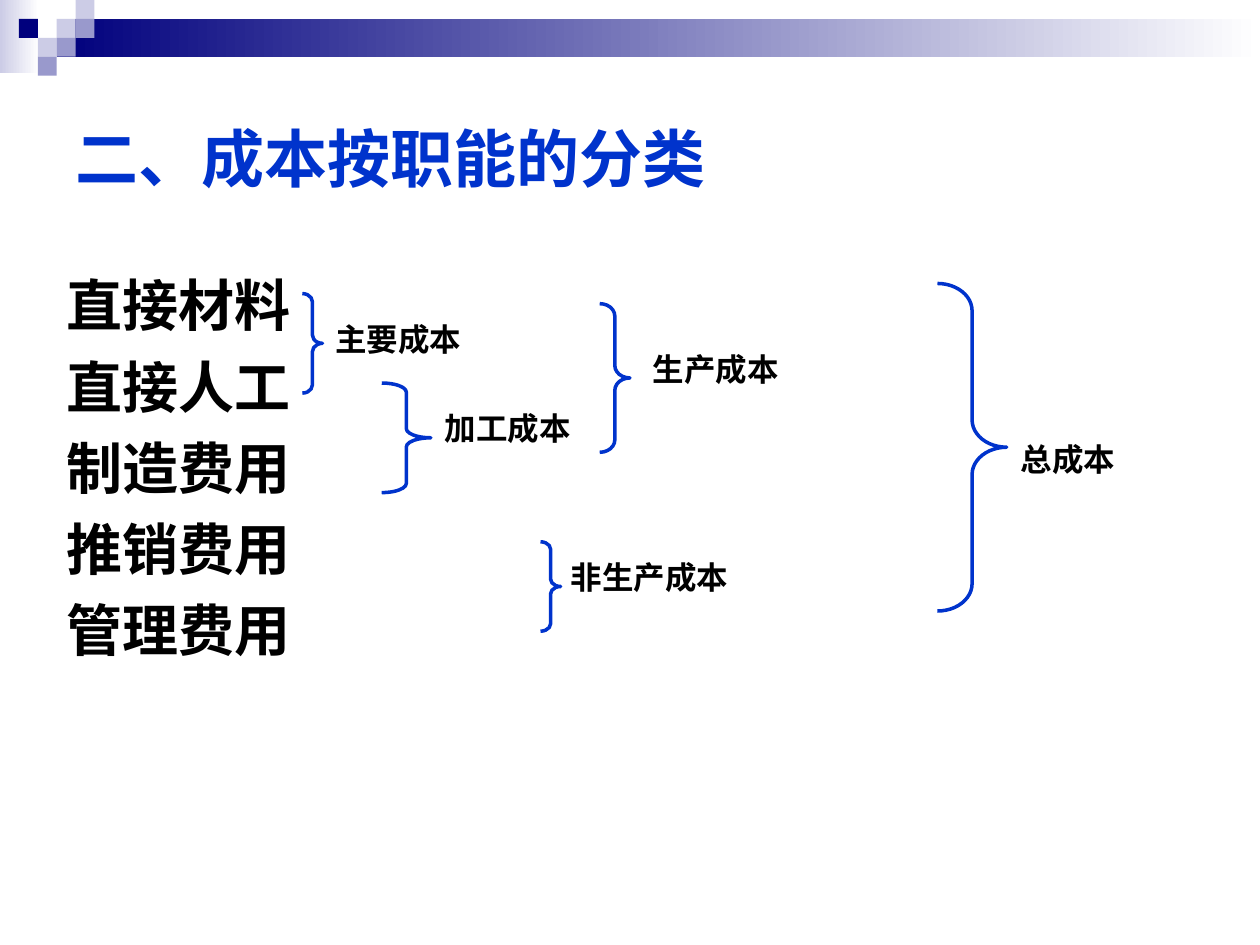
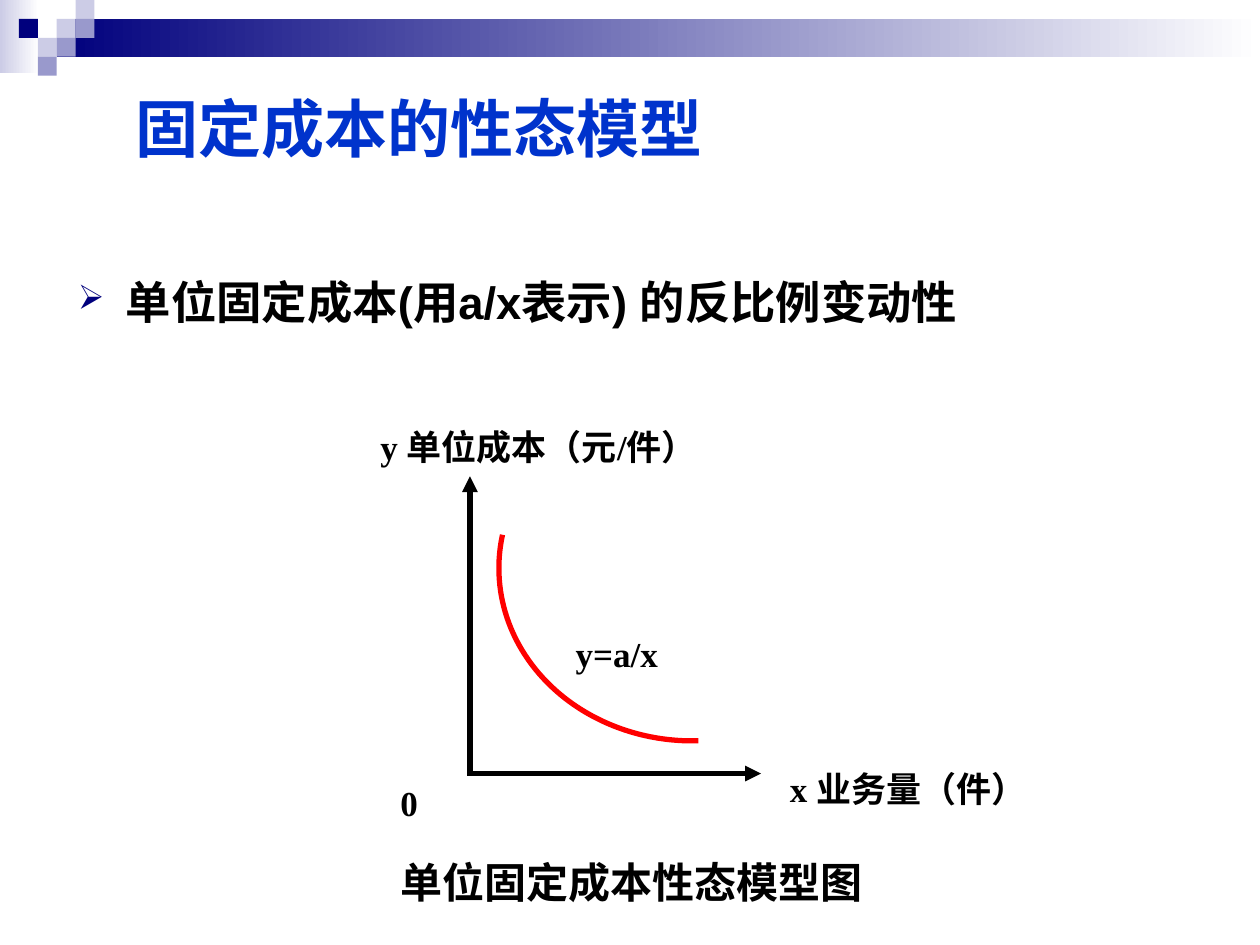
"""Build two slides on cost classes and the fixed cost model."""
import pptx
import pptx.util
import pptx.dml.color
import pptx.enum.shapes
import pptx.enum.text
import pptx.oxml
import pptx.oxml.ns

IN, PT = pptx.util.Inches, pptx.util.Pt
KIND = pptx.enum.shapes.MSO_SHAPE
ALIGN = pptx.enum.text.PP_ALIGN
ANCHOR = pptx.enum.text.MSO_ANCHOR
WIDE, HIGH, CELL = 10, 7.5, 0.15
BLUE, NAVY, LILAC, MID = "0033CC", "00007D", "CCCCE6", "9999CC"
BLACK, WHITE, RED = "000000", "FFFFFF", "FF0000"
SANS, SERIF, HAN = "Arial", "Times New Roman", "Noto Sans CJK SC"
LEAD = 1.2

FADES = [((0, 0, 0.31, 0.58), LILAC),
         ((3 * CELL, CELL, WIDE - 3 * CELL, 2 * CELL), NAVY)]
TILES = [(3, 1, LILAC), (4, 0, LILAC), (4, 1, MID), (2, 2, LILAC),
         (1, 1, NAVY), (3, 2, MID), (2, 3, MID)]

COSTS = ["直接材料", "直接人工", "制造费用", "推销费用", "管理费用"]
GROUPS = [
    ("主要成本", (2.4, 2.33, 0.16, 0.79), (2.56, 2.49, 1.2, 0.4)),
    ("加工成本", (3.03, 3.04, 0.39, 0.87), (3.43, 3.2, 1.2, 0.4)),
    ("非生产成本", (4.29, 4.3, 0.16, 0.71), (4.29, 4.38, 1.73, 0.4)),
    ("生产成本", (4.76, 2.41, 0.24, 1.18), (5.08, 2.73, 1.2, 0.4)),
    ("总成本", (7.44, 2.25, 0.55, 2.6), (8, 3.44, 0.95, 0.4)),
]

POINT = [("单位固定成本", SERIF), ("(", SANS), ("用", SERIF), ("a/x", SANS),
         ("表示", SERIF), (") ", SANS), ("的反比例变动性", SERIF)]
AXES = [(3.71, 6.14, 6.04, 6.14), (3.73, 6.14, 3.73, 3.78)]
CURVE, SWEEP = (3.96, 3.14, 3.07, 2.74), (88, 190)
NOTES = [
    ("y=a/x", (4.47, 4.97, 1.44, 0.46)),
    ("x 业务量（件）", (6.17, 6.04, 2.16, 0.47)),
    ("y 单位成本（元/件）", (2.92, 3.33, 2.92, 0.47)),
    ("0", (3.08, 6.15, 0.5, 0.36)),
]
CAPTION = "单位固定成本性态模型图"


def tone(code):
    return pptx.dml.color.RGBColor.from_string(code)


def node(home, tag, **attrs):
    part = pptx.oxml.parse_xml(f"<a:{tag} {pptx.oxml.ns.nsdecls('a')}/>")
    for key, val in attrs.items():
        part.set(key, val)
    home.append(part)
    return part


def style(run, size, face, ink):
    font = run.font
    font.size, font.bold, font.name = PT(size), True, face
    font.color.rgb = tone(ink)
    node(run.font._element, "ea", typeface=HAN)


def write(slide, at, lines, size, face=SANS, ink=BLACK, align=ALIGN.LEFT,
          anchor=ANCHOR.TOP, wrap=True, gap=0, lead=LEAD):
    frame = slide.shapes.add_textbox(*map(IN, at)).text_frame
    frame.text = "\n".join(lines)
    frame.word_wrap, frame.vertical_anchor = wrap, anchor
    for num, para in enumerate(frame.paragraphs):
        para.alignment, para.line_spacing = align, PT(lead * size)
        if num:
            para.space_before = PT(gap)
        for run in para.runs:
            style(run, size, face, ink)
    return frame


def form(slide, kind, at, fill=None, line=None, width=0):
    shape = slide.shapes.add_shape(kind, *map(IN, at))
    shape.shadow.inherit = False
    if fill:
        shape.fill.solid()
        shape.fill.fore_color.rgb = tone(fill)
    else:
        shape.fill.background()
    if line:
        shape.line.color.rgb, shape.line.width = tone(line), PT(width)
    else:
        shape.line.fill.background()
    return shape


def start(deck, title, at, face):
    slide = deck.slides.add_slide(deck.slide_layouts[6])
    for spot, ink in FADES:
        fill = form(slide, KIND.RECTANGLE, spot).fill
        fill.gradient()
        fill.gradient_angle = 180
        for stop, code in zip(fill.gradient_stops, (WHITE, ink)):
            stop.color.rgb = tone(code)
    for col, row, ink in TILES:
        spot = (col * CELL, row * CELL, CELL, CELL)
        form(slide, KIND.RECTANGLE, spot, ink)
    write(slide, at, [title], 36, face, BLUE, anchor=ANCHOR.MIDDLE)
    return slide


def brace(slide, at):
    shape = form(slide, KIND.RIGHT_BRACE, at, line=BLUE, width=2)
    wide, high = at[2:]
    shape.adjustments[0] = high / 12 / min(wide, high)


def axis(slide, ends):
    line = slide.shapes.add_connector(
        pptx.enum.shapes.MSO_CONNECTOR.STRAIGHT, *map(IN, ends))
    line.line.color.rgb, line.line.width = tone(BLACK), PT(3)
    props = line._element.spPr
    node(props.find(pptx.oxml.ns.qn("a:ln")), "tailEnd", type="triangle")
    node(props, "effectLst")


def bullet(para):
    props = para._p.get_or_add_pPr()
    props.set("marL", str(IN(0.38)))
    props.set("indent", str(-IN(0.38)))
    node(node(props, "buClr"), "srgbClr", val=NAVY)
    node(props, "buSzPct", val="75000")
    node(props, "buChar", char="➢")


def classes(deck):
    slide = start(deck, "二、成本按职能的分类", (0.5, 0.5, 9, 1.5), SANS)
    write(slide, (0.43, 2.1, 9, 4.25), COSTS, 32, gap=8)
    for name, spot, label in GROUPS:
        brace(slide, spot)
        write(slide, label, [name], 18, align=ALIGN.CENTER, wrap=False)


def model(deck):
    slide = start(deck, "固定成本的性态模型", (0.98, 0.6, 8.1, 0.82), SERIF)
    frame = write(slide, (0.52, 2.17, 8.73, 0.55), [""], 25.9, lead=1.08)
    para = frame.paragraphs[0]
    bullet(para)
    for text, face in POINT:
        run = para.add_run()
        run.text = text
        style(run, 25.9, face, BLACK)
    for ends in AXES:
        axis(slide, ends)
    arc = form(slide, KIND.ARC, CURVE, line=RED, width=3)
    for num, angle in enumerate(SWEEP):
        arc.adjustments[num] = angle * 0.6
    for text, spot in NOTES:
        write(slide, spot, [text], 20, SERIF)
    write(slide, (3.08, 6.75, 4, 0.5), [CAPTION], 24, HAN)


def main():
    deck = pptx.Presentation()
    deck.slide_width, deck.slide_height = IN(WIDE), IN(HIGH)
    classes(deck)
    model(deck)
    deck.save("out.pptx")


if __name__ == "__main__":
    main()
